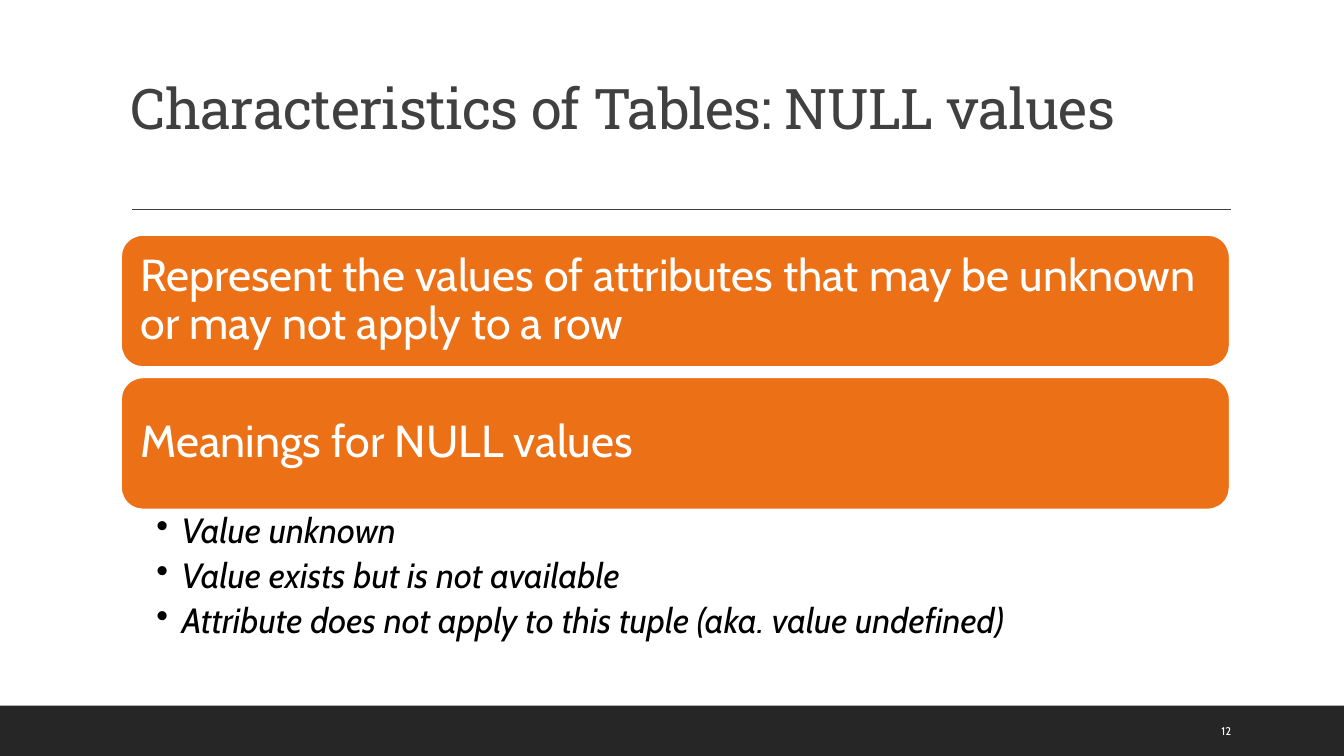
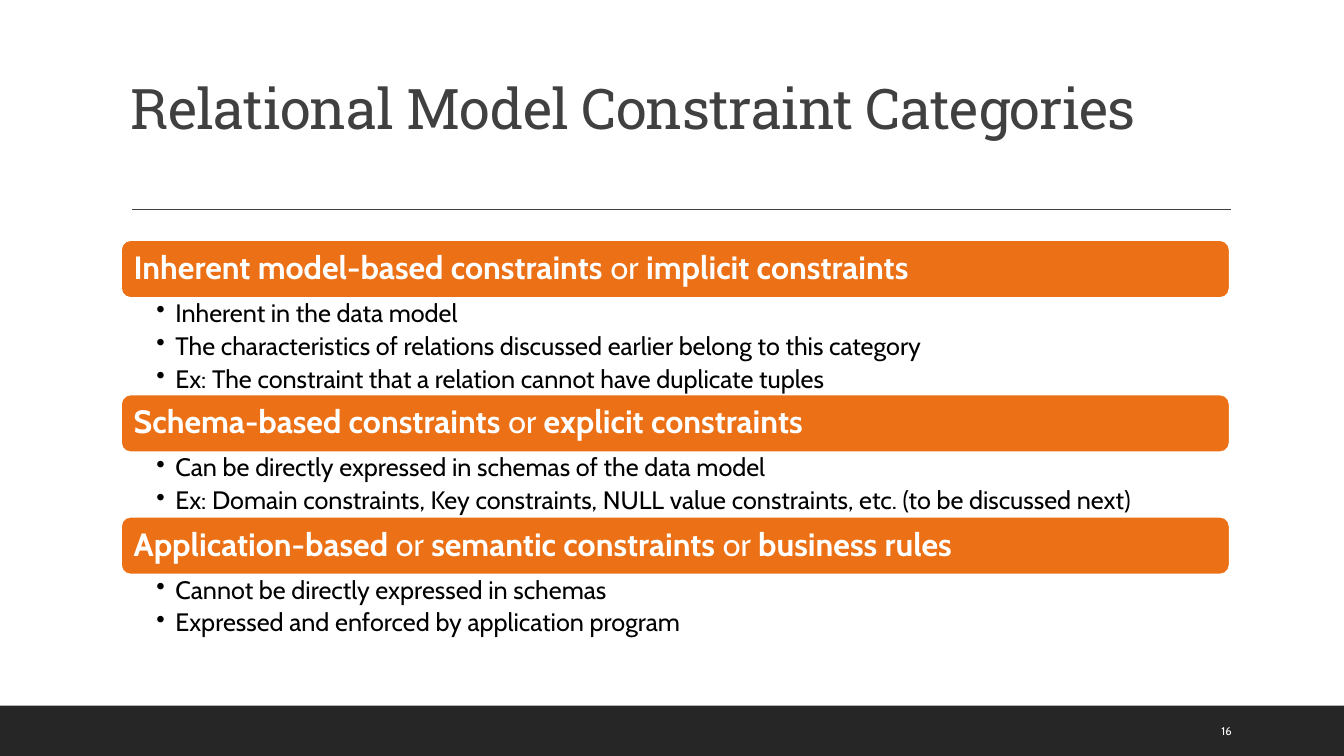
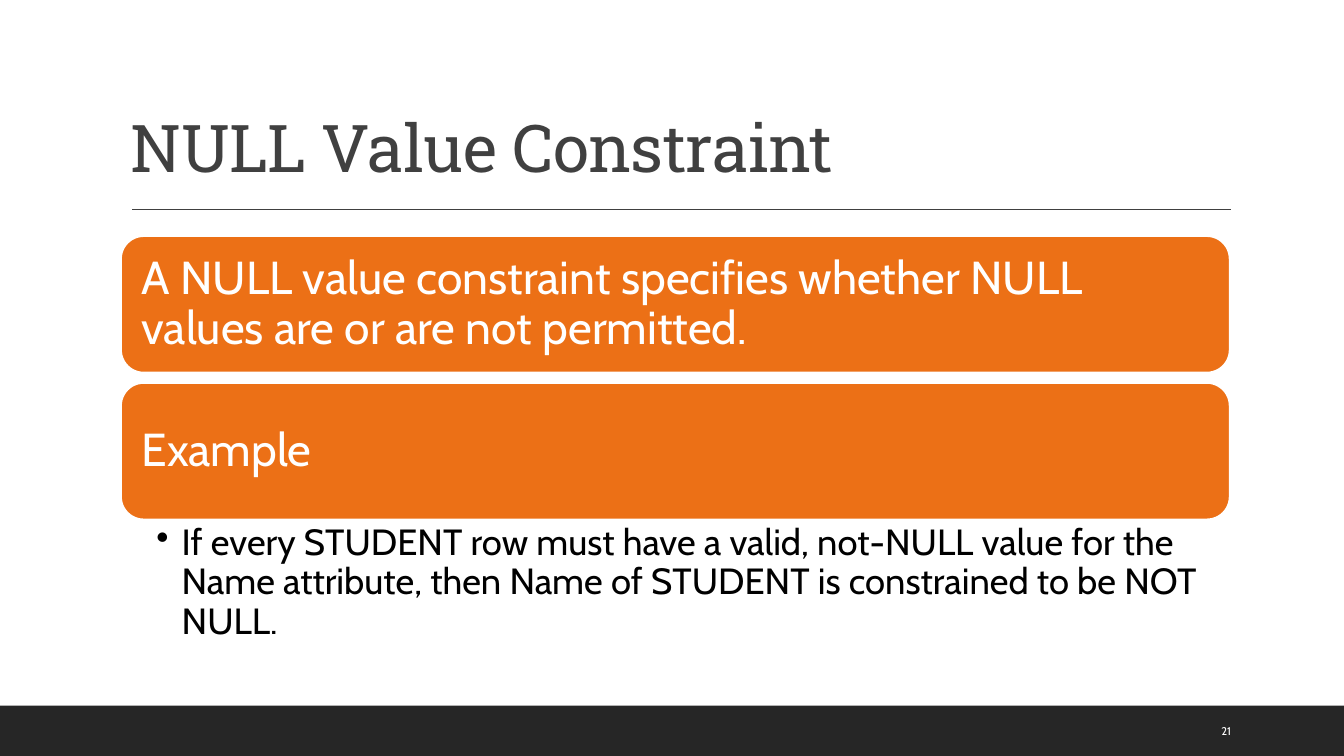
from lxml import etree
from pptx import Presentation
from pptx.dml.color import RGBColor
from pptx.enum.shapes import MSO_CONNECTOR, MSO_SHAPE
from pptx.enum.text import MSO_ANCHOR
from pptx.oxml.ns import qn
from pptx.util import Cm, Pt

STRAIGHT = MSO_CONNECTOR.STRAIGHT
RECTANGLE, ROUNDED = MSO_SHAPE.RECTANGLE, MSO_SHAPE.ROUNDED_RECTANGLE
TOP, MIDDLE, BOTTOM = MSO_ANCHOR.TOP, MSO_ANCHOR.MIDDLE, MSO_ANCHOR.BOTTOM

COLORS = {"accent": "EC7016", "band": "262626", "title": "404040",
          "text": "000000", "white": "FFFFFF"}
HEADING_FONT, BODY_FONT = "Roboto Slab", "Cabin"

# Lengths in centimetres, text sizes in points
SLIDE_WIDTH, SLIDE_HEIGHT = 33.87, 19.05
BAND_HEIGHT = 1.27
LEFT, WIDTH = 3.05, 27.94
RULE_START, RULE_END, RULE_TOP = 3.33, 31.01, 5.28
BAR_GAP = 0.26
LINE_SPACING = 0.9
TITLE_BOX = (LEFT, 0.79, WIDTH, 4.04)
NUMBER_BOX = (30.53, 17.91, 2.16, 1.02)
DEFAULT_INSETS = (0.25, 0.13, 0.25, 0.13)

# Each section is a bar, given as (text, bold) runs, and its bullets
SLIDES = [
    {
        "title": "Characteristics of Tables: NULL values",
        "title_size": 40, "title_anchor": MIDDLE, "number": "12",
        "top": 5.92, "bar_height": 3.33, "bar_size": 32, "bar_inset": 0.33,
        "bullet_height": 1.13, "bullet_size": 25, "bullet_italic": True,
        "bullet_space": 5, "bullet_indent": 0.64,
        "bullet_insets": (0.89, 0.1, 0.64, 0.1),
        "sections": [
            ([("Represent the values of attributes that may be unknown "
               "or may not apply to a row", False)], []),
            ([("Meanings for NULL values", False)],
             ["Value unknown",
              "Value exists but is not available",
              "Attribute does not apply to this tuple (aka. value undefined)"]),
        ],
    },
    {
        "title": "Relational Model Constraint Categories",
        "title_size": 40, "title_anchor": MIDDLE, "number": "16",
        "top": 6.05, "bar_height": 1.46, "bar_size": 23, "bar_inset": 0.25,
        "bullet_height": 0.81, "bullet_size": 18, "bullet_italic": False,
        "bullet_space": 4, "bullet_indent": 0.48,
        "bullet_insets": (0.89, 0.07, 0.46, 0.07),
        "sections": [
            ([("Inherent model-based constraints", True), (" or ", False),
              ("implicit constraints", True)],
             ["Inherent in the data model",
              "The characteristics of relations discussed earlier belong to this category",
              "Ex: The constraint that a relation cannot have duplicate tuples"]),
            ([("Schema-based constraints", True), (" or ", False),
              ("explicit constraints", True)],
             ["Can be directly expressed in schemas of the data model",
              "Ex: Domain constraints, Key constraints, NULL value constraints, etc. "
              "(to be discussed next)"]),
            ([("Application-based ", True), ("or ", False),
              ("semantic constraints ", True), ("or ", False),
              ("business rules", True)],
             ["Cannot be directly expressed in schemas",
              "Expressed and enforced by application program"]),
        ],
    },
    {
        "title": "NULL Value Constraint",
        "title_size": 47, "title_anchor": BOTTOM, "number": "21",
        "top": 5.95, "bar_height": 3.44, "bar_size": 33, "bar_inset": 0.35,
        "bullet_height": 3.12, "bullet_size": 26, "bullet_italic": False,
        "bullet_space": 5, "bullet_indent": 0.64,
        "bullet_insets": (0.89, 0.12, 0.66, 0.12),
        "sections": [
            ([("A NULL value constraint specifies whether NULL values are or "
               "are not permitted.", False)], []),
            ([("Example", False)],
             ["If every STUDENT row must have a valid, not-NULL value for the Name "
              "attribute, then Name of STUDENT is constrained to be NOT NULL."]),
        ],
    },
]


def color(name):
    return RGBColor.from_string(COLORS[name])


def set_frame(shape, anchor, insets=DEFAULT_INSETS):
    left, top, right, bottom = map(Cm, insets)
    values = {"word_wrap": True, "vertical_anchor": anchor,
              "margin_left": left, "margin_top": top,
              "margin_right": right, "margin_bottom": bottom}
    for name, value in values.items():
        setattr(shape.text_frame, name, value)
    return shape.text_frame


def add_run(paragraph, text, color_name, size, name=BODY_FONT, **styles):
    run = paragraph.add_run()
    run.text = text
    run.font.color.rgb = color(color_name)
    for key, value in {"size": Pt(size), "name": name, **styles}.items():
        setattr(run.font, key, value)
    return run


def add_plain_shape(slide, kind, box, color_name):
    shape = slide.shapes.add_shape(kind, *map(Cm, box))
    shape.shadow.inherit = False
    shape.fill.solid()
    shape.fill.fore_color.rgb = color(color_name)
    shape.line.fill.background()
    return shape


def add_base(slide, content):
    """Add the band, title, rule and slide number shared by all slides."""
    add_plain_shape(slide, RECTANGLE,
                    (0, SLIDE_HEIGHT - BAND_HEIGHT, SLIDE_WIDTH, BAND_HEIGHT), "band")

    rule = slide.shapes.add_connector(
        STRAIGHT, *map(Cm, (RULE_START, RULE_TOP, RULE_END, RULE_TOP)))
    rule.line.color.rgb = color("title")
    rule.line.width = Pt(1)
    etree.SubElement(rule._element.spPr, qn("a:effectLst"))

    title = slide.shapes.add_textbox(*map(Cm, TITLE_BOX))
    paragraph = set_frame(title, content["title_anchor"]).paragraphs[0]
    paragraph.line_spacing = LINE_SPACING
    run = add_run(paragraph, content["title"], "title", content["title_size"],
                  HEADING_FONT)
    run.font._element.set("spc", "-50")

    number = slide.shapes.add_textbox(*map(Cm, NUMBER_BOX))
    paragraph = set_frame(number, MIDDLE).paragraphs[0]
    add_run(paragraph, content["number"], "white", 8)


def add_bar(slide, top, runs, content):
    bar = add_plain_shape(slide, ROUNDED,
                          (LEFT, top, WIDTH, content["bar_height"]), "accent")
    bar.line.color.rgb = color("white")
    bar.line.width = Pt(1.25)
    frame = set_frame(bar, MIDDLE, [content["bar_inset"]] * 4)
    paragraph = frame.paragraphs[0]
    paragraph.alignment = 1
    paragraph.line_spacing = LINE_SPACING
    for text, bold in runs:
        add_run(paragraph, text, "white", content["bar_size"], bold=bold)


def add_bullets(slide, top, height, bullets, content):
    box = slide.shapes.add_textbox(*map(Cm, (LEFT, top, WIDTH, height)))
    frame = set_frame(box, TOP, content["bullet_insets"])
    indent = Cm(content["bullet_indent"])
    for index, text in enumerate(bullets):
        paragraph = frame.add_paragraph() if index else frame.paragraphs[0]
        paragraph.line_spacing = LINE_SPACING
        paragraph.space_after = Pt(content["bullet_space"])
        properties = paragraph._p.get_or_add_pPr()
        properties.set("marL", str(indent))
        properties.set("indent", str(-indent))
        etree.SubElement(properties, qn("a:buChar"), char="•")
        add_run(paragraph, text, "text", content["bullet_size"],
                italic=content["bullet_italic"])


def add_sections(slide, content):
    """Stack the bars, each followed by its bullets or by a gap."""
    top = content["top"]
    for runs, bullets in content["sections"]:
        add_bar(slide, top, runs, content)
        top += content["bar_height"]
        height = len(bullets) * content["bullet_height"]
        if bullets:
            add_bullets(slide, top, height, bullets, content)
        top += height or BAR_GAP


def main():
    presentation = Presentation()
    presentation.slide_width = Cm(SLIDE_WIDTH)
    presentation.slide_height = Cm(SLIDE_HEIGHT)
    blank_layout = presentation.slide_layouts[6]
    for content in SLIDES:
        slide = presentation.slides.add_slide(blank_layout)
        add_base(slide, content)
        add_sections(slide, content)
    presentation.save("out.pptx")


if __name__ == "__main__":
    main()
